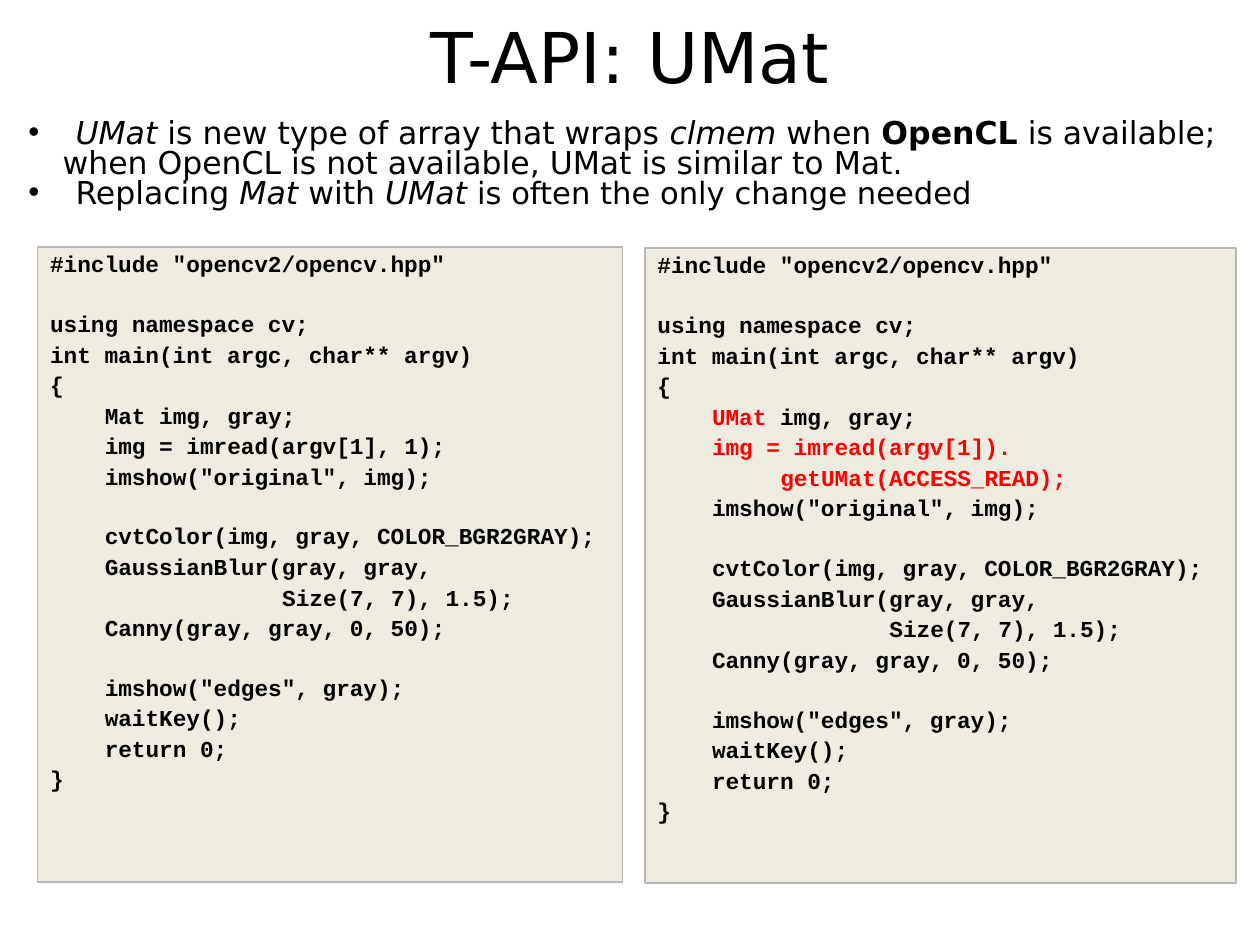
from dataclasses import dataclass

from lxml import etree
from pptx import Presentation
from pptx.dml.color import RGBColor
from pptx.enum.shapes import MSO_SHAPE
from pptx.enum.text import MSO_ANCHOR, PP_ALIGN
from pptx.oxml.ns import qn
from pptx.util import Pt

COLORS = {"text": "000000", "change": "FF0000", "panel": "EEECE1", "border": "B7B7B7"}
BODY_FONT, CODE_FONT = "DejaVu Sans", "Courier New"
CODE_SIZE = 13
CHAR_WIDTH = 7.8
LINE_GAP = 3.4
BLANK_LINE = 16.65


@dataclass(frozen=True)
class Run:
    text: str
    italic: bool = False
    bold: bool = False
    color: str = "text"
    size: float = 18


@dataclass(frozen=True)
class Point:
    runs: tuple[Run, ...]
    margin: float = 36
    hanging: float = 27
    bullet: bool = True


@dataclass(frozen=True)
class CodeLine:
    text: str
    indent: int = 0
    changed: str = ""  # leading part shown in the change colour
    gap: bool = False  # one line of space above


@dataclass(frozen=True)
class Panel:
    left: float
    top: float
    width: float
    height: float
    lines: tuple[CodeLine, ...]


def rgb(name: str) -> RGBColor:
    return RGBColor.from_string(COLORS[name])


def add_run(paragraph, run: Run, font_name: str) -> None:
    item = paragraph.add_run()
    item.text = run.text
    font = item.font
    font.name, font.size = font_name, Pt(run.size)
    font.bold, font.italic = run.bold, run.italic
    font.color.rgb = rgb(run.color)


def set_insets(frame, side: float, top: float) -> None:
    frame.margin_left = frame.margin_right = Pt(side)
    frame.margin_top = frame.margin_bottom = Pt(top)
    frame.word_wrap = True


def next_paragraph(frame, index: int):
    return frame.add_paragraph() if index else frame.paragraphs[0]


def set_indent(paragraph, margin: float, first: float = 0) -> None:
    props = paragraph._p.get_or_add_pPr()
    props.set("marL", str(int(Pt(margin))))
    props.set("indent", str(int(Pt(first))))


def add_points(slide, points: tuple[Point, ...]) -> None:
    frame = slide.shapes.add_textbox(Pt(0.7), Pt(65.5), Pt(705.6), Pt(68.4)).text_frame
    set_insets(frame, 6.5, 3)
    for index, point in enumerate(points):
        paragraph = next_paragraph(frame, index)
        paragraph.line_spacing = 0.8
        set_indent(paragraph, point.margin, -point.hanging)
        if point.bullet:
            props = paragraph._p.get_or_add_pPr()
            etree.SubElement(props, qn("a:buFont"), typeface="Arial")
            etree.SubElement(props, qn("a:buChar"), char="•")
        for run in point.runs:
            add_run(paragraph, run, BODY_FONT)


def add_panel(slide, panel: Panel) -> None:
    box = slide.shapes.add_shape(MSO_SHAPE.RECTANGLE, Pt(panel.left), Pt(panel.top),
                                 Pt(panel.width), Pt(panel.height))
    box.shadow.inherit = False
    box.fill.solid()
    box.fill.fore_color.rgb = rgb("panel")
    box.line.color.rgb = rgb("border")
    box.line.width = Pt(0.75)
    frame = box.text_frame
    set_insets(frame, 7.2, 3.6)
    frame.vertical_anchor = MSO_ANCHOR.TOP
    for index, line in enumerate(panel.lines):
        paragraph = next_paragraph(frame, index)
        paragraph.alignment = PP_ALIGN.LEFT
        paragraph.line_spacing = 0.9
        paragraph.space_before = Pt((LINE_GAP if index else 0) + BLANK_LINE * line.gap)
        set_indent(paragraph, line.indent * CHAR_WIDTH)
        for text, color in ((line.changed, "change"), (line.text, "text")):
            if text:
                add_run(paragraph, Run(text, bold=True, color=color, size=CODE_SIZE), CODE_FONT)


def program(*image_lines: CodeLine) -> tuple[CodeLine, ...]:
    return (
        CodeLine('#include "opencv2/opencv.hpp"'),
        CodeLine("using namespace cv;", gap=True),
        CodeLine("int main(int argc, char** argv)"),
        CodeLine("{"),
        *image_lines,
        CodeLine('imshow("original", img);', 4),
        CodeLine("cvtColor(img, gray, COLOR_BGR2GRAY);", 4, gap=True),
        CodeLine("GaussianBlur(gray, gray,", 4),
        CodeLine("Size(7, 7), 1.5);", 17),
        CodeLine("Canny(gray, gray, 0, 50);", 4),
        CodeLine('imshow("edges", gray);', 4, gap=True),
        CodeLine("waitKey();", 4),
        CodeLine("return 0;", 4),
        CodeLine("}"),
    )


POINTS = (
    Point((Run("UMat", italic=True), Run(" is new type of array that wraps "),
           Run("clmem", italic=True), Run(" when "), Run("OpenCL", bold=True),
           Run(" is available;"))),
    Point((Run("when OpenCL is not available, UMat is similar to Mat."),),
          margin=28.6, hanging=0, bullet=False),
    Point((Run("Replacing "), Run("Mat", italic=True), Run(" with "),
           Run("UMat ", italic=True),
           Run("is often the only change needed", size=17.5))),
)

PANELS = (
    Panel(21.6, 141.1, 334.1, 362.9, program(
        CodeLine("Mat img, gray;", 4),
        CodeLine("img = imread(argv[1], 1);", 4))),
    Panel(368.6, 141.8, 337.7, 362.9, program(
        CodeLine("img, gray;", 4, changed="UMat "),
        CodeLine("", 4, changed="img = imread(argv[1])."),
        CodeLine("", 9, changed="getUMat(ACCESS_READ);"))),
)

prs = Presentation()
prs.slide_width, prs.slide_height = Pt(720), Pt(540)
slide = prs.slides.add_slide(prs.slide_layouts[5])

# Title
title = slide.shapes.title
title.left, title.top, title.width, title.height = Pt(36), Pt(0), Pt(648), Pt(64)
set_insets(title.text_frame, 6.5, 3)
title.text_frame.vertical_anchor = MSO_ANCHOR.MIDDLE
heading = title.text_frame.paragraphs[0]
heading.alignment = PP_ALIGN.CENTER
add_run(heading, Run("T-API: UMat", size=40), BODY_FONT)

# Key points
add_points(slide, POINTS)

# Code before and after the change
for panel in PANELS:
    add_panel(slide, panel)

prs.save("out.pptx")
